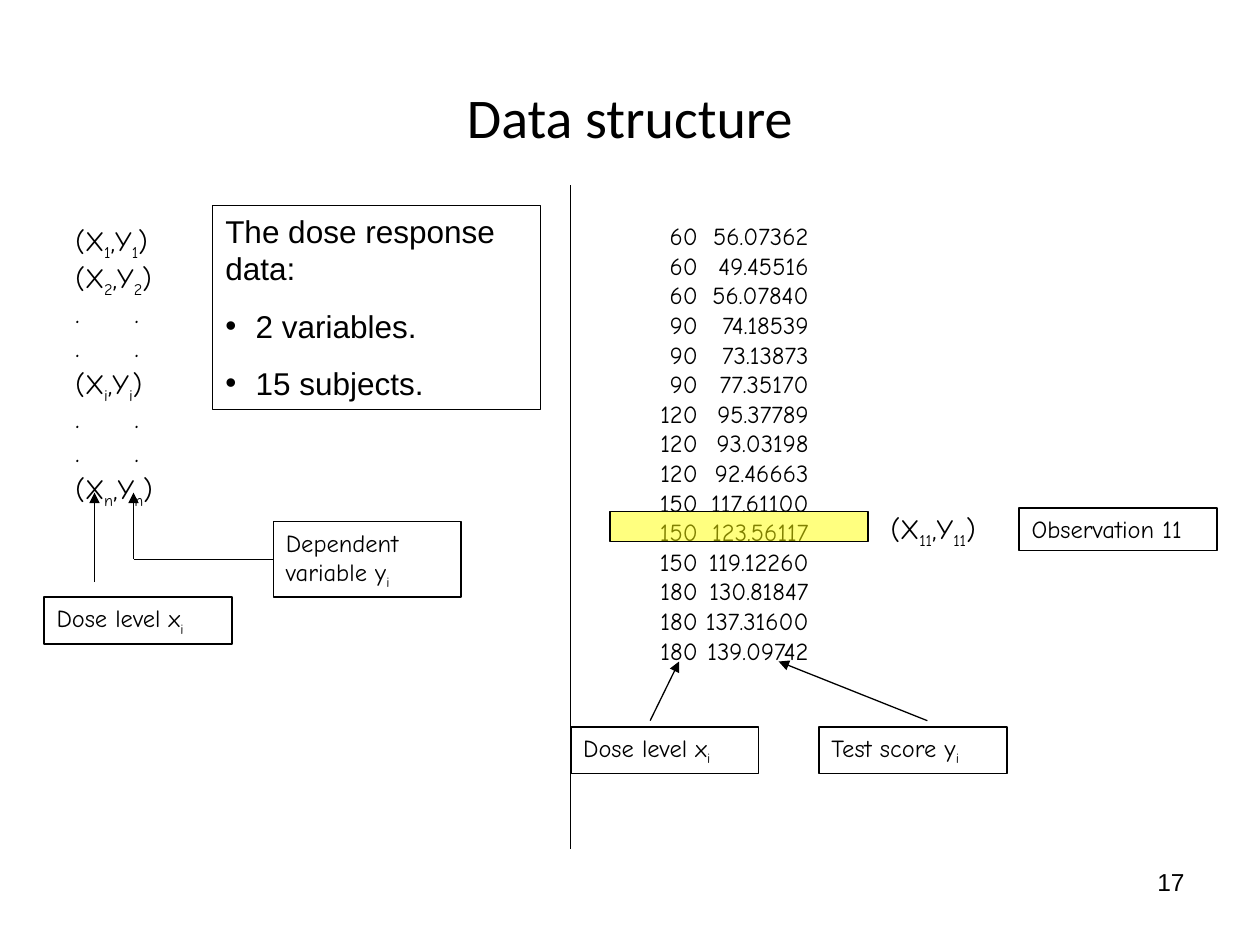
from pptx import Presentation
from pptx.dml.color import RGBColor
from pptx.enum.shapes import MSO_CONNECTOR, MSO_SHAPE
from pptx.enum.text import MSO_ANCHOR, PP_ALIGN
from pptx.oxml.ns import qn
from pptx.util import Inches, Pt
from lxml.etree import SubElement

BLACK = "000000"
HAND = "Comic Neue"
PAIRS = ["(X_1_,Y_1_)", "(X_2_,Y_2_)", ".\t.", ".\t.",
         "(X_i_,Y_i_)", ".\t.", ".\t.", "(X_n_,Y_n_)"]
SCORES = {
    60: ["56.07362", "49.45516", "56.07840"],
    90: ["74.18539", "73.13873", "77.35170"],
    120: ["95.37789", "93.03198", "92.46663"],
    150: ["117.61100", "123.56117", "119.12260"],
    180: ["130.81847", "137.31600", "139.09742"],
}


def color(hex_string):
    return RGBColor.from_string(hex_string)


def add_tabs(p, tabs):
    """Set tab stops, given as (inches, alignment) pairs."""
    tab_list = SubElement(p._p.get_or_add_pPr(), qn("a:tabLst"))
    for pos, align in tabs:
        SubElement(tab_list, qn("a:tab"), pos=str(Inches(pos)), algn=align)


def add_bullet(p, indent=0.24):
    pPr = p._p.get_or_add_pPr()
    pPr.set("marL", str(Inches(indent)))
    pPr.set("indent", str(-Inches(indent)))
    SubElement(pPr, qn("a:buFont"), typeface="Arial")
    SubElement(pPr, qn("a:buChar"), char="•")


def write(s, lines, size=14, font=HAND, align=PP_ALIGN.LEFT, anchor=MSO_ANCHOR.TOP,
          before=0, spacing=None, tabs=(), bullets_from=None):
    """Fill a shape with paragraphs; text between underscores is subscript."""
    tf = s.text_frame
    tf.word_wrap = True
    tf.vertical_anchor = anchor
    for i, line in enumerate(lines):
        p = tf.paragraphs[0] if i == 0 else tf.add_paragraph()
        p.alignment = align
        if spacing:
            p.line_spacing = spacing
        if i:
            p.space_before = Pt(before)
        if bullets_from is not None and i >= bullets_from:
            add_bullet(p)
        if tabs:
            add_tabs(p, tabs)
        for part, text in enumerate(line.split("_")):
            if not text:
                continue
            r = p.add_run()
            r.text = text
            r.font.size = Pt(size)
            r.font.name = font
            r.font.color.rgb = color(BLACK)
            if part % 2:
                r._r.get_or_add_rPr().set("baseline", "-25000")


def add_text(slide, x, y, w, h, lines, **fmt):
    s = slide.shapes.add_textbox(Inches(x), Inches(y), Inches(w), Inches(h))
    write(s, lines, **fmt)


def add_box(slide, x, y, w, h, lines=(), line_width=1, fill=None, alpha=100, **fmt):
    s = slide.shapes.add_shape(MSO_SHAPE.RECTANGLE, Inches(x), Inches(y),
                               Inches(w), Inches(h))
    s.shadow.inherit = False
    s.line.color.rgb = color(BLACK)
    s.line.width = Pt(line_width)
    if fill:
        s.fill.solid()
        s.fill.fore_color.rgb = color(fill)
        clr = s.fill._xPr.find(qn("a:solidFill"))[0]
        SubElement(clr, qn("a:alpha"), val=str(alpha * 1000))
    else:
        s.fill.background()
    if lines:
        write(s, lines, **fmt)
    return s


def add_line(slide, x1, y1, x2, y2, arrow=False):
    c = slide.shapes.add_connector(MSO_CONNECTOR.STRAIGHT, Inches(x1), Inches(y1),
                                   Inches(x2), Inches(y2))
    c.line.color.rgb = color(BLACK)
    c.line.width = Pt(0.75)
    if arrow:
        SubElement(c.line._get_or_add_ln(), qn("a:tailEnd"), type="triangle")
    SubElement(c._element.spPr, qn("a:effectLst"))
    return c


def add_columns(slide):
    add_text(slide, 0.5, 1.75, 4.42, 4.95, PAIRS, size=16, before=4, spacing=0.8,
             tabs=[(0.47, "l")])
    rows = [f"\t{dose}\t{score}" for dose, scores in SCORES.items() for score in scores]
    add_text(slide, 5.08, 1.75, 4.42, 4.95, rows, before=3.5, spacing=0.8,
             tabs=[(0.36, "r"), (1.24, "r")])
    add_line(slide, 4.53, 1.47, 4.53, 6.74)


def add_labels(slide):
    for x, y, text in [(4.53, 5.77, "Dose level x_i_"), (6.5, 5.77, "Test score y_i_"),
                       (0.35, 4.74, "Dose level x_i_")]:
        add_box(slide, x, y, 1.49, 0.37, [text])
    dependent = add_box(slide, 2.17, 4.14, 1.49, 0.6, ["Dependent variable y_i_"])
    elbow = add_line(slide, 2.17, 4.44, 1.06, 4.44)
    elbow.begin_connect(dependent, 1)
    for ends in [(1.06, 4.44, 1.06, 3.91), (0.75, 4.62, 0.75, 3.91),
                 (5.16, 5.72, 5.39, 5.25), (7.36, 5.72, 6.18, 5.25)]:
        add_line(slide, *ends, arrow=True)


def add_observation(slide):
    add_box(slide, 4.84, 4.06, 2.05, 0.24, line_width=0.75, fill="FFFF00", alpha=50)
    add_text(slide, 6.97, 4.01, 1.57, 0.41, ["(X_11_,Y_11_)"], size=16)
    add_box(slide, 8.09, 4.03, 1.57, 0.34, ["Observation 11"])


def main():
    prs = Presentation()
    prs.slide_width, prs.slide_height = Inches(10), Inches(7.5)
    slide = prs.slides.add_slide(prs.slide_layouts[6])
    add_text(slide, 0.5, 0.3, 9, 1.25, ["Data structure"], size=32, font="Calibri",
             align=PP_ALIGN.CENTER, anchor=MSO_ANCHOR.MIDDLE)
    add_columns(slide)
    add_labels(slide)
    add_box(slide, 1.69, 1.63, 2.6, 1.62,
            ["The dose response data:", "2 variables.", "15 subjects."],
            line_width=0.5, size=18, font="Arial", before=11.2, bullets_from=1)
    add_observation(slide)
    add_text(slide, 7.17, 6.83, 2.33, 0.52, ["17"], font="Arial", align=PP_ALIGN.RIGHT)
    prs.save("out.pptx")


if __name__ == "__main__":
    main()
